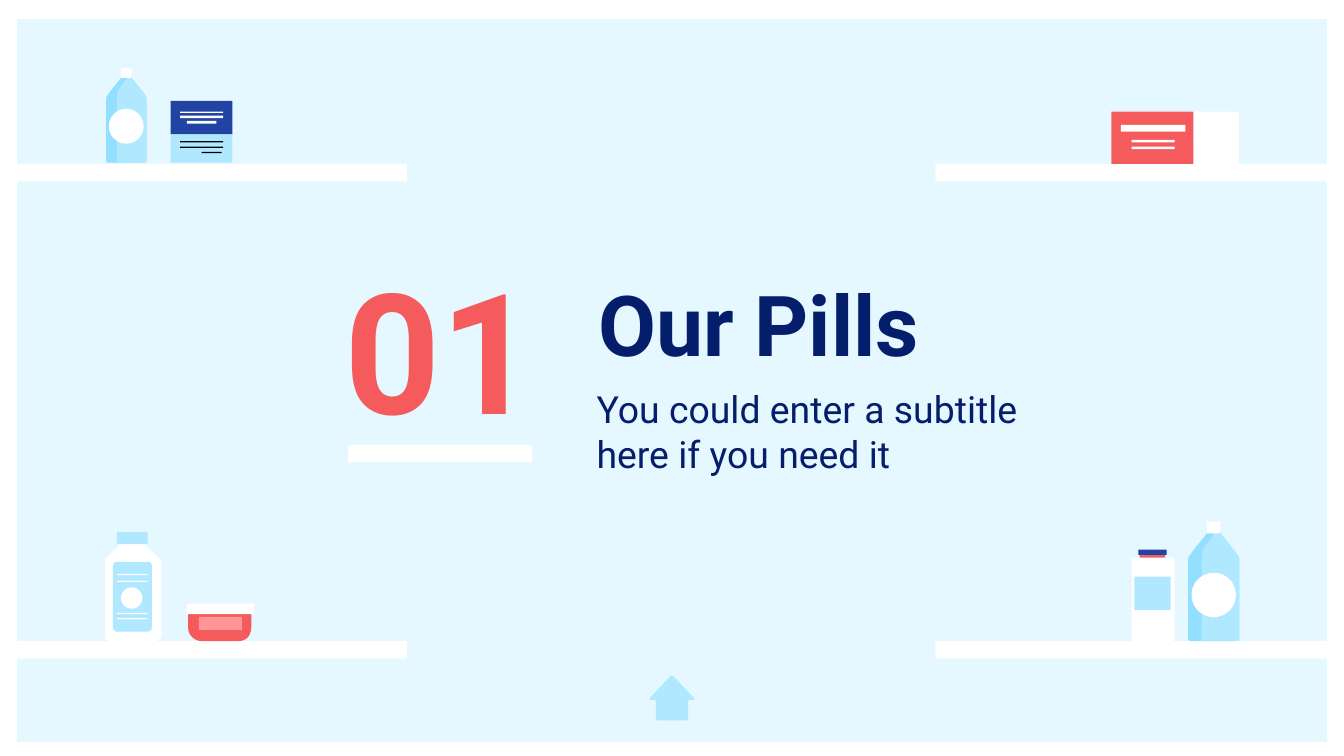
from pptx import Presentation
from pptx.dml.color import RGBColor
from pptx.enum.shapes import MSO_SHAPE as SHAPE
from pptx.enum.text import MSO_ANCHOR as ANCHOR, MSO_AUTO_SIZE as AUTO, PP_ALIGN as ALIGN
from pptx.util import Inches, Pt

COLS = 10
ROWS = COLS * 9 / 16
WHITE, NAVY, BLUE, RED, PINK = "FFFFFF", "051E6B", "2143A3", "F55B5D", "FF9597"
PALE, SKY, DEEP = "E5F8FF", "B0E8FF", "92DFFF"


def rgb(value):
    """Return the colour for a hex string."""
    return RGBColor.from_string(value)


def grid(*values):
    """Turn grid units, ten to the slide's width, into lengths."""
    return [Inches(v) for v in values]


def paint(sp, color):
    """Give a shape a flat fill without line or shadow."""
    sp.shadow.inherit = False
    sp.fill.solid()
    sp.fill.fore_color.rgb = rgb(color)
    sp.line.fill.background()
    return sp


def block(s, x, y, w, h, color, kind=SHAPE.RECTANGLE):
    """Add a flat preset shape."""
    return paint(s.shapes.add_shape(kind, *grid(x, y, w, h)), color)


def rounded(s, x, y, w, h, color, radius):
    """Add a flat rounded rectangle with a corner radius in grid units."""
    sp = block(s, x, y, w, h, color, SHAPE.ROUNDED_RECTANGLE)
    sp.adjustments[0] = radius / min(w, h)


def disc(s, cx, cy, r, color=WHITE):
    """Add a flat circle around a centre."""
    block(s, cx - r, cy - r, 2 * r, 2 * r, color, SHAPE.OVAL)


def stripes(s, x, w, rows, h, color):
    """Add equal stripes at the given heights."""
    for y in rows:
        block(s, x, y, w, h, color)


def bend(start, curve, steps=8):
    """Return points along a cubic curve given as six numbers."""
    points = [start, curve[:2], curve[2:4], curve[4:]]
    result = []
    for i in range(1, steps + 1):
        t = i / steps
        shares = ((1 - t) ** 3, 3 * t * (1 - t) ** 2, 3 * t * t * (1 - t), t ** 3)
        result.append(tuple(sum(k * p[a] for k, p in zip(shares, points)) for a in (0, 1)))
    return result


def outline(s, nodes, color, x=0, y=0, scale=1):
    """Add a flat freeform from points and six-number curves."""
    points = [nodes[0]]
    for node in nodes[1:]:
        points += [node] if len(node) == 2 else bend(points[-1], node)
    places = [grid(x + px * scale, y + py * scale) for px, py in points]
    fb = s.shapes.build_freeform(*places[0], scale=1.0)
    fb.add_line_segments(places[1:], close=True)
    paint(fb.convert_to_shape(), color)


def write(sp, text, size, color, bold=False, align=ALIGN.LEFT, after=0):
    """Fill a text shape with one formatted run."""
    tf = sp.text_frame
    tf.word_wrap, tf.auto_size, tf.vertical_anchor = True, AUTO.NONE, ANCHOR.MIDDLE
    tf.margin_left = tf.margin_right = tf.margin_top = tf.margin_bottom = Inches(0.1)
    p = tf.paragraphs[0]
    p.alignment, p.space_after = align, Pt(after)
    r = p.add_run()
    r.text = text
    r.font.name, r.font.size, r.font.bold = "Roboto", Pt(size), bold
    r.font.color.rgb = rgb(color)


def frame(s):
    """Add the white border around the slide."""
    sp = s.shapes.add_shape(SHAPE.RECTANGLE, *grid(0, 0.02, COLS, ROWS))
    sp.shadow.inherit = False
    sp.fill.background()
    sp.line.color.rgb = rgb(WHITE)
    sp.line.width = Pt(18)


def bottle(s, x, base, scale=1):
    """Add a tall bottle standing on a base line."""
    right = [(0.27, -0.53), (0.28, -0.51, 0.3, -0.5, 0.3, -0.47),
             (0.3, -0.02), (0.3, 0, 0.29, 0, 0.27, 0)]
    left = [(0.03, 0), (0.01, 0, 0, 0, 0, -0.02), (0, -0.47),
            (0, -0.5, 0.02, -0.51, 0.03, -0.53), (0.11, -0.63), (0.12, -0.69), (0.18, -0.69)]
    lit = [(0.08, 0), (0.08, -0.5), (0.08, -0.53, 0.1, -0.56, 0.12, -0.58), (0.18, -0.67)]
    for side, color in ((left, DEEP), (lit, SKY)):
        outline(s, [(0.19, -0.63)] + right + side, color, x, base, scale)
    block(s, x + 0.11 * scale, base - 0.7 * scale, 0.08 * scale, 0.07 * scale, WHITE)
    disc(s, x + 0.15 * scale, base - 0.27 * scale, 0.13 * scale)


def blue_box(s):
    """Add the two-tone medicine box."""
    block(s, 1.27, 0.75, 0.46, 0.25, BLUE)
    block(s, 1.27, 1, 0.46, 0.21, SKY)
    stripes(s, 1.34, 0.32, [0.83], 0.01, WHITE)
    stripes(s, 1.34, 0.32, [0.86], 0.02, WHITE)
    stripes(s, 1.39, 0.22, [0.9], 0.02, WHITE)
    stripes(s, 1.34, 0.32, [1.05, 1.09], 0.01, "000000")
    stripes(s, 1.5, 0.15, [1.13], 0.01, "000000")


def red_box(s):
    """Add the red and white medicine box."""
    block(s, 8.27, 0.83, 0.95, 0.39, WHITE)
    block(s, 8.27, 0.83, 0.61, 0.39, RED)
    block(s, 8.34, 0.93, 0.48, 0.05, WHITE)
    stripes(s, 8.42, 0.32, [1.04, 1.09], 0.02, WHITE)


def cream_pot(s):
    """Add the red pot with its lid and label."""
    outline(s, [(1.4, 4.53), (1.87, 4.53), (1.87, 4.67), (1.87, 4.73, 1.83, 4.77, 1.78, 4.77),
                (1.5, 4.77), (1.45, 4.77, 1.4, 4.73, 1.4, 4.67)], RED)
    block(s, 1.39, 4.49, 0.5, 0.08, WHITE)
    block(s, 1.48, 4.59, 0.32, 0.1, PINK)


def syrup(s):
    """Add the white syrup bottle with its label."""
    outline(s, [(0.88, 4.07), (0.88, 3.98), (1.09, 3.98), (1.09, 4.07),
                (1.11, 4.09, 1.2, 4.16, 1.2, 4.17), (1.2, 4.73), (1.2, 4.75, 1.18, 4.77, 1.15, 4.77),
                (0.82, 4.77), (0.79, 4.77, 0.78, 4.75, 0.78, 4.73), (0.78, 4.17),
                (0.77, 4.16, 0.86, 4.09, 0.88, 4.07)], WHITE)
    rounded(s, 0.84, 4.18, 0.29, 0.52, SKY, 0.03)
    block(s, 0.87, 3.96, 0.23, 0.09, SKY)
    stripes(s, 0.87, 0.23, [4.27, 4.32, 4.56, 4.6], 0.01, WHITE)
    disc(s, 0.98, 4.45, 0.08)


def pill_jar(s):
    """Add the small jar with a blue cap."""
    block(s, 8.48, 4.11, 0.19, 0.05, RED)
    block(s, 8.47, 4.09, 0.21, 0.04, BLUE)
    rounded(s, 8.42, 4.15, 0.32, 0.62, WHITE, 0.02)
    block(s, 8.44, 4.29, 0.27, 0.25, SKY)


def house(s):
    """Add the home symbol at the foot of the slide."""
    rounded(s, 4.88, 5.18, 0.24, 0.18, SKY, 0.01)
    outline(s, [(4.99, 5.03), (4.84, 5.19), (4.83, 5.19, 4.83, 5.21, 4.85, 5.21), (5.16, 5.21),
                (5.17, 5.21, 5.17, 5.19, 5.16, 5.19), (5.01, 5.03), (5, 5.03, 5, 5.03, 4.99, 5.03)], SKY)
    block(s, 4.95, 5.26, 0.1, 0.1, SKY)


def heading(s):
    """Write the section title, number and subtitle."""
    title = s.shapes.title
    title.left, title.top, title.width, title.height = grid(4.35, 2.02, 3.45, 0.77)
    write(title, "Our Pills", 45, NAVY, bold=True)
    number = s.shapes.add_textbox(*grid(2.21, 1.86, 2.14, 1.45))
    write(number, "01", 90, RED, bold=True, align=ALIGN.CENTER)
    subtitle = s.shapes.add_textbox(*grid(4.34, 2.81, 3.45, 0.8))
    write(subtitle, "You could enter a subtitle here if you need it", 20, NAVY, after=12)
    block(s, 2.59, 3.31, 1.37, 0.13, WHITE)


def main():
    """Build the section slide."""
    prs = Presentation()
    prs.slide_width, prs.slide_height = grid(COLS, ROWS)
    s = prs.slides.add_slide(prs.slide_layouts[5])
    s.background.fill.solid()
    s.background.fill.fore_color.rgb = rgb(PALE)
    frame(s)
    for y in (1.22, 4.77):
        for x in (-0.13, 6.96):
            block(s, x, y, 3.16, 0.13, WHITE)
    bottle(s, 0.79, 1.21)
    bottle(s, 8.84, 4.77, 1.27)
    for draw in (blue_box, red_box, cream_pot, syrup, pill_jar, house, heading):
        draw(s)
    prs.save("out.pptx")


if __name__ == "__main__":
    main()
